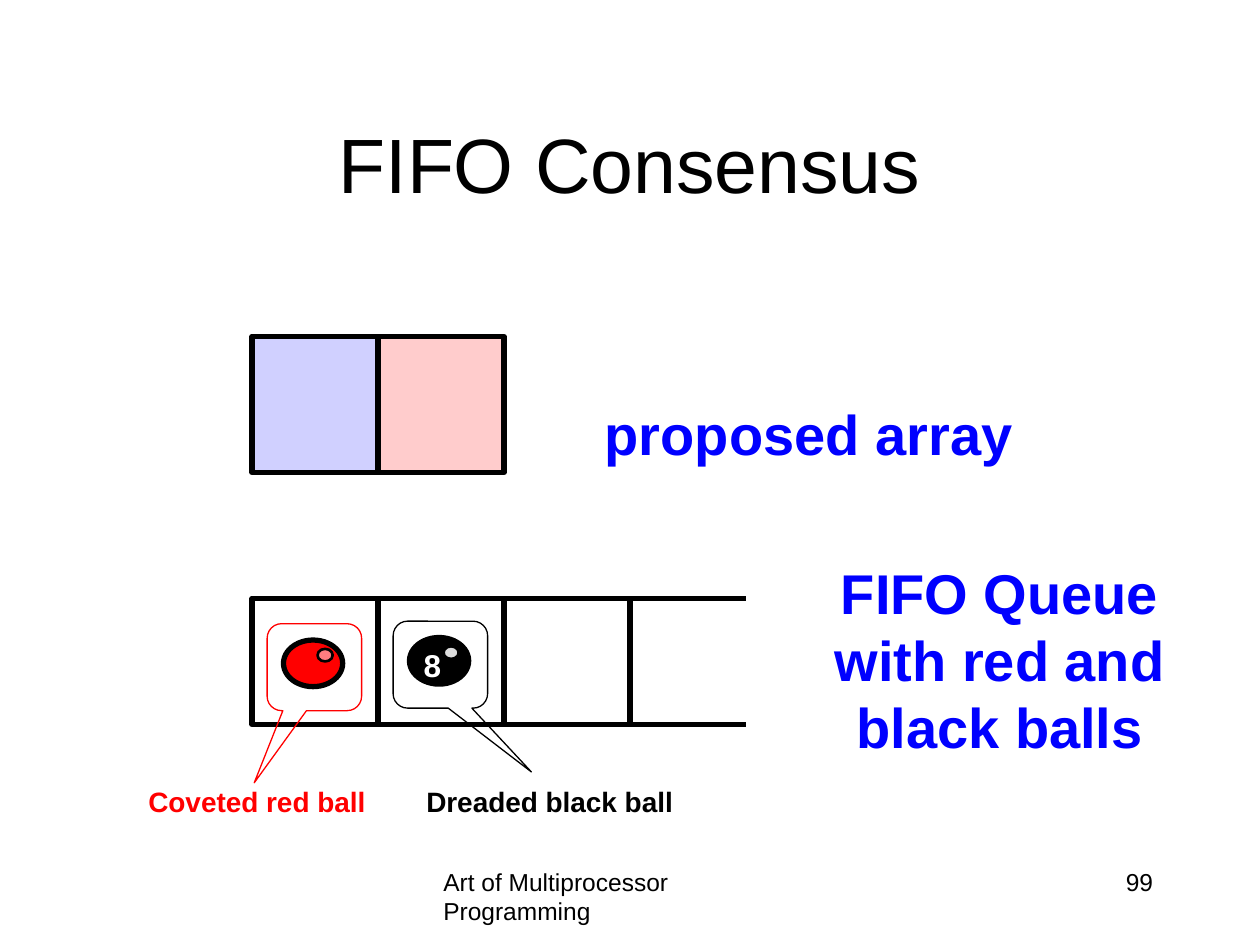
from dataclasses import dataclass
from lxml import etree
from pptx import Presentation
from pptx.dml.color import RGBColor
from pptx.enum.shapes import MSO_CONNECTOR, MSO_SHAPE
from pptx.enum.text import MSO_ANCHOR, PP_ALIGN
from pptx.oxml.ns import qn
from pptx.util import Inches, Length, Pt

LEFT, CENTER, RIGHT = PP_ALIGN.LEFT, PP_ALIGN.CENTER, PP_ALIGN.RIGHT
TOP, MIDDLE, BOTTOM = MSO_ANCHOR.TOP, MSO_ANCHOR.MIDDLE, MSO_ANCHOR.BOTTOM
RECTANGLE, OVAL = MSO_SHAPE.RECTANGLE, MSO_SHAPE.OVAL
CALLOUT = MSO_SHAPE.ROUNDED_RECTANGULAR_CALLOUT
STRAIGHT = MSO_CONNECTOR.STRAIGHT

FONT = "Arial"
COLORS = {
    "black": "000000", "white": "FFFFFF", "red": "FF0000", "blue": "0000FF",
    "violet": "6666FF", "pink": "FF7C80", "gray": "DDDDDD",
}
COLUMNS, ROWS = 10, 7.5
FIRST_COLUMN, ARRAY_ROW, QUEUE_ROW = 2, 2.67, 4.75
ARRAY_HEIGHT, QUEUE_CELLS = 1.08, 3
HEAVY, MEDIUM, THIN = 3, 1.5, 0.75


@dataclass
class Box:
    column: float
    row: float
    width: float
    height: float

    def lengths(self) -> tuple[Length, ...]:
        return tuple(Inches(value) for value in
                     (self.column, self.row, self.width, self.height))


@dataclass
class Label:
    text: str
    box: Box
    size: float
    color: str = "black"
    bold: bool = False
    align: PP_ALIGN = LEFT
    anchor: MSO_ANCHOR = TOP
    wrap: bool = True


@dataclass
class Ball:
    column: float
    row: float
    color: str
    shine: str


@dataclass
class Callout:
    box: Box
    color: str
    tip: tuple[float, float]


def rgb(name: str) -> RGBColor:
    return RGBColor.from_string(COLORS[name])


def write(shape, label: Label) -> None:
    shape.left, shape.top, shape.width, shape.height = label.box.lengths()
    frame = shape.text_frame
    frame.word_wrap = label.wrap
    frame.vertical_anchor = label.anchor
    paragraph = frame.paragraphs[0]
    paragraph.text = label.text
    paragraph.alignment = label.align
    paragraph.font.name = FONT
    paragraph.font.size = Pt(label.size)
    paragraph.font.bold = label.bold
    paragraph.font.color.rgb = rgb(label.color)


def draw_label(slide, label: Label) -> None:
    write(slide.shapes.add_textbox(*label.box.lengths()), label)


def draw_shape(slide, kind: MSO_SHAPE, box: Box, fill: str | None = None,
               opacity: int = 100, line: str = "black", weight: float = HEAVY):
    shape = slide.shapes.add_shape(kind, *box.lengths())
    shape.shadow.inherit = False
    shape.line.color.rgb = rgb(line)
    shape.line.width = Pt(weight)
    if fill is None:
        shape.fill.background()
    else:
        shape.fill.solid()
        shape.fill.fore_color.rgb = rgb(fill)
        if opacity < 100:
            color = shape.fill._xPr.find(f".//{qn('a:srgbClr')}")
            etree.SubElement(color, qn("a:alpha"), val=str(opacity * 1000))
    return shape


def draw_rail(slide, row: float) -> None:
    start = FIRST_COLUMN + QUEUE_CELLS - 0.08
    rail = slide.shapes.add_connector(
        STRAIGHT, Inches(start), Inches(row), Inches(start + 1), Inches(row))
    rail.line.color.rgb = rgb("black")
    rail.line.width = Pt(HEAVY)
    etree.SubElement(rail._element.spPr, qn("a:effectLst"))


def draw_ball(slide, ball: Ball) -> None:
    draw_shape(slide, OVAL, Box(ball.column, ball.row, 0.47, 0.37), ball.color)
    draw_shape(slide, OVAL, Box(ball.column + 0.27, ball.row + 0.07, 0.12, 0.1),
               ball.shine, weight=MEDIUM)


def draw_callout(slide, callout: Callout) -> None:
    shape = draw_shape(slide, CALLOUT, callout.box, line=callout.color, weight=THIN)
    for index, value in enumerate((*callout.tip, 0.167)):
        shape.adjustments[index] = value


TITLE = Label("FIFO Consensus", Box(0.75, 0.67, 8.5, 1.25), 44,
              align=CENTER, anchor=MIDDLE)
LABELS = [
    Label("Art of Multiprocessor Programming", Box(3.42, 6.83, 3.17, 0.5), 14),
    Label("99", Box(7.17, 6.83, 2.08, 0.5), 14, align=RIGHT),
    Label("proposed array", Box(4.69, 2.57, 3.46, 1.18), 32, "blue", True,
          CENTER, BOTTOM, False),
    Label("FIFO Queue with red and black balls", Box(6.17, 4.38, 3.53, 1.72),
          32, "blue", True, CENTER),
    Label("8", Box(3.25, 5.08, 0.35, 0.4), 18, "white", True, RIGHT, wrap=False),
    Label("Coveted red ball", Box(1.02, 6.18, 1.98, 0.37), 16, "red", True,
          RIGHT, wrap=False),
    Label("Dreaded black ball", Box(3.22, 6.18, 2.22, 0.37), 16, "black", True,
          RIGHT, wrap=False),
]
ARRAY_FILLS = [("violet", 30), ("red", 20)]
BALLS = [Ball(2.25, 5.08, "red", "pink"), Ball(3.25, 5.06, "black", "gray")]
CALLOUTS = [
    Callout(Box(2.12, 4.95, 0.75, 0.69), "red", (-0.637, 1.33)),
    Callout(Box(3.12, 4.93, 0.75, 0.69), "black", (0.963, 1.234)),
]


def main() -> None:
    presentation = Presentation()
    presentation.slide_width = Inches(COLUMNS)
    presentation.slide_height = Inches(ROWS)
    slide = presentation.slides.add_slide(presentation.slide_layouts[5])
    write(slide.shapes.title, TITLE)
    for index, (fill, opacity) in enumerate(ARRAY_FILLS):
        draw_shape(slide, RECTANGLE,
                   Box(FIRST_COLUMN + index, ARRAY_ROW, 1, ARRAY_HEIGHT),
                   fill, opacity)
    for index in range(QUEUE_CELLS):
        draw_shape(slide, RECTANGLE, Box(FIRST_COLUMN + index, QUEUE_ROW, 1, 1))
    for row in (QUEUE_ROW, QUEUE_ROW + 1):
        draw_rail(slide, row)
    for ball in BALLS:
        draw_ball(slide, ball)
    for label in LABELS:
        draw_label(slide, label)
    for callout in CALLOUTS:
        draw_callout(slide, callout)
    presentation.save("out.pptx")


if __name__ == "__main__":
    main()
